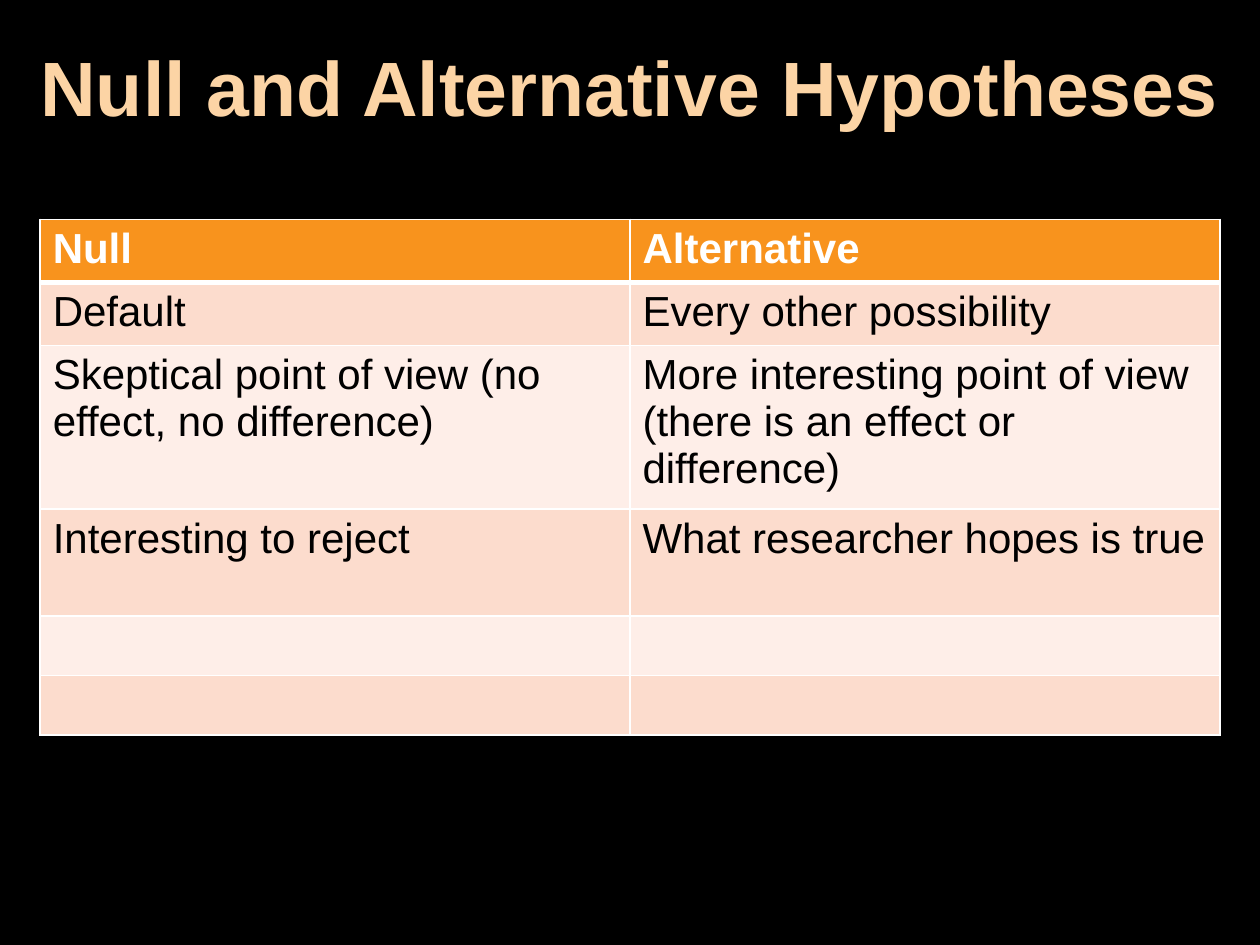
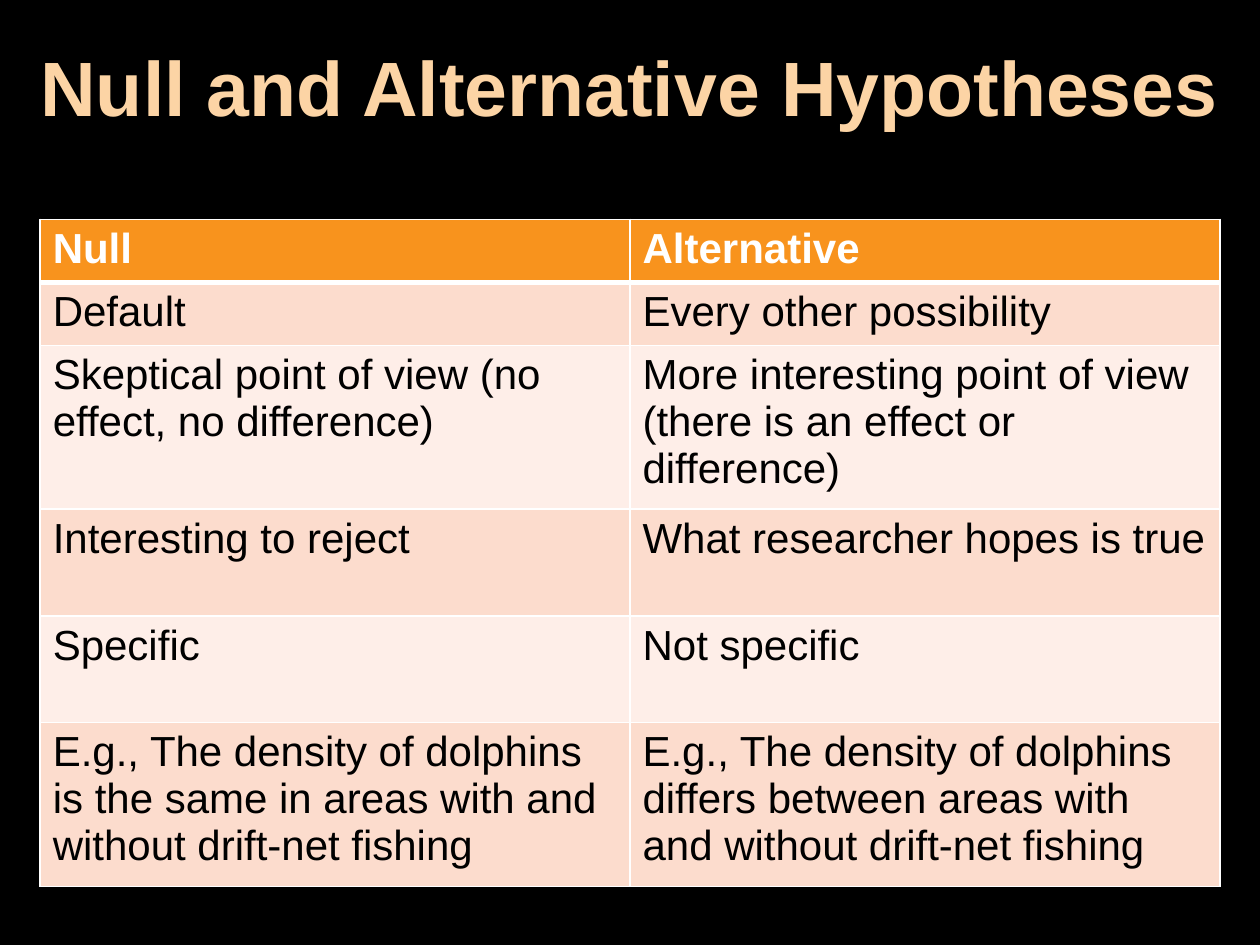
import pptx
import pptx.util
import pptx.dml.color
import pptx.enum.text
import pptx.oxml
import pptx.oxml.ns

Cm = pptx.util.Cm
Pt = pptx.util.Pt


def color(code):
    return pptx.dml.color.RGBColor.from_string(code)


class Deck:
    font = "Arial"
    back = "000000"
    gold = "FCD4A5"
    head = "F8931D"
    bands = ("FEEEE8", "FCDCCD")
    light = "FFFFFF"
    dark = "000000"

    def __init__(self):
        self.file = pptx.Presentation()
        self.file.slide_width = Cm(25.4)
        self.file.slide_height = Cm(19.05)

    def add_slide(self):
        self.slide = self.file.slides.add_slide(self.file.slide_layouts[6])
        fill = self.slide.background.fill
        fill.solid()
        fill.fore_color.rgb = color(self.back)

    def style(self, para, size, tint, bold):
        for run in para.runs:
            run.font.name = self.font
            run.font.size = Pt(size)
            run.font.bold = bold
            run.font.color.rgb = color(tint)

    def add_title(self, text):
        box = self.slide.shapes.add_textbox(0, 0, self.file.slide_width, Cm(3.68))
        frame = box.text_frame
        frame.word_wrap = True
        frame.vertical_anchor = pptx.enum.text.MSO_ANCHOR.MIDDLE
        frame.text = text
        para = frame.paragraphs[0]
        para.alignment = pptx.enum.text.PP_ALIGN.CENTER
        para.line_spacing = 0.9
        self.style(para, 44, self.gold, True)

    def add_edges(self, cell, top, bottom):
        props = cell._tc.get_or_add_tcPr()
        edges = (("L", 1), ("R", 1), ("T", top), ("B", bottom))
        for spot, (side, width) in enumerate(edges):
            props.insert(spot, pptx.oxml.parse_xml(
                f'<a:ln{side} {pptx.oxml.ns.nsdecls("a")} w="{Pt(width)}">'
                f'<a:solidFill><a:srgbClr val="{self.light}"/></a:solidFill>'
                f'</a:ln{side}>'))

    def add_table(self, rows, heights):
        wide = Cm(11.89)
        table = self.slide.shapes.add_table(
            len(rows), 2, Cm(0.81), Cm(4.42), 2 * wide, Cm(sum(heights))).table
        for column in table.columns:
            column.width = wide
        for i, (row, height) in enumerate(zip(rows, heights)):
            table.rows[i].height = Cm(height)
            for j, text in enumerate(row):
                cell = table.cell(i, j)
                cell.text_frame.text = text
                self.style(cell.text_frame.paragraphs[0], 24,
                           self.dark if i else self.light, i == 0)
                cell.fill.solid()
                cell.fill.fore_color.rgb = color(self.bands[i % 2] if i else self.head)
                self.add_edges(cell, 3 if i == 1 else 1, 1 if i else 3)


def main():
    shared = [
        ("Null", "Alternative"),
        ("Default", "Every other possibility"),
        ("Skeptical point of view (no effect, no difference)",
         "More interesting point of view (there is an effect or difference)"),
        ("Interesting to reject", "What researcher hopes is true"),
    ]
    final = [
        ("Specific", "Not specific"),
        ("E.g., The density of dolphins is the same in areas with and "
         "without drift-net fishing",
         "E.g., The density of dolphins differs between areas with and "
         "without drift-net fishing"),
    ]
    one, two, three = 1.2, 2.15, 3.09
    steps = [([("", "")] * 2, [one, one]), (final, [two, three])]

    deck = Deck()
    for rows, heights in steps:
        deck.add_slide()
        deck.add_title("Null and Alternative Hypotheses")
        deck.add_table(shared + rows, [one, one, three, two] + heights)
    deck.file.save("out.pptx")


if __name__ == "__main__":
    main()
